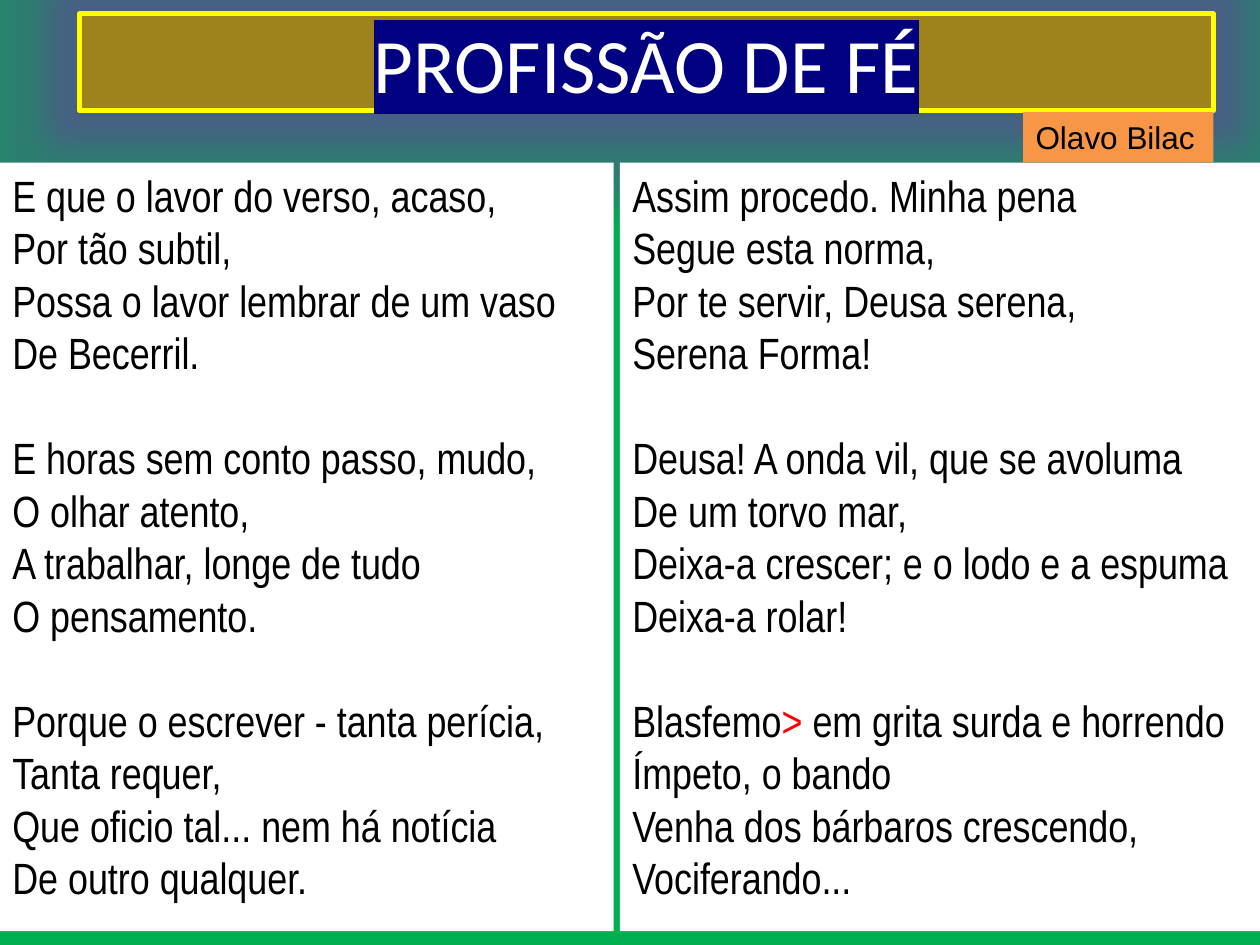
from lxml import etree
from pptx import Presentation
from pptx.dml.color import RGBColor
from pptx.enum.shapes import MSO_SHAPE as Shape
from pptx.enum.text import MSO_ANCHOR as Anchor, PP_ALIGN as Align
from pptx.oxml.ns import qn
from pptx.util import Inches, Pt

COLORS = {
    "green": "00B050", "gold": "B88C00", "yellow": "FFFF00", "navy": "000080",
    "white": "FFFFFF", "black": "000000", "red": "FF0000",
    "orange": "F79646", "purple": "6F35A0",
}
WIDTH, HEIGHT = 10, 7.5
MARK = ">"

LEFT_STANZAS = [
    ["E que o lavor do verso, acaso,", "Por tão subtil,",
     "Possa o lavor lembrar de um vaso", "De Becerril."],
    ["E horas sem conto passo, mudo,", "O olhar atento,",
     "A trabalhar, longe de tudo", "O pensamento."],
    ["Porque o escrever - tanta perícia,", "Tanta requer,",
     "Que oficio tal... nem há notícia", "De outro qualquer."],
]
RIGHT_STANZAS = [
    ["Assim procedo. Minha pena", "Segue esta norma,",
     "Por te servir, Deusa serena,", "Serena Forma!"],
    ["Deusa! A onda vil, que se avoluma", "De um torvo mar,",
     "Deixa-a crescer; e o lodo e a espuma", "Deixa-a rolar!"],
    ["Blasfemo> em grita surda e horrendo", "Ímpeto, o bando",
     "Venha dos bárbaros crescendo,", "Vociferando..."],
]


def rgb(name):
    return RGBColor.from_string(COLORS[name])


def add_color(parent, tag, color, alpha=None):
    """Append a DrawingML element that holds one colour."""
    element = etree.SubElement(parent, qn(tag))
    value = etree.SubElement(element, qn("a:srgbClr"), val=COLORS[color])
    if alpha is not None:
        etree.SubElement(value, qn("a:alpha"), val=str(alpha * 1000))
    return element


def write(paragraph, text, size=18, font="Arial", color="black", highlight=None):
    run = paragraph.add_run()
    run.text = text
    run.font.size = Pt(size)
    run.font.name = font
    run.font.color.rgb = rgb(color)
    if highlight:
        properties = run.font._element
        mark = add_color(properties, "a:highlight", highlight)
        properties.find(qn("a:solidFill")).addnext(mark)


class PoemSlide:
    """Current slide; positions and sizes are shares of the slide."""

    verse_size, verse_pitch, verse_font = 25, 30, "Arial Narrow"

    def __init__(self, presentation):
        self.slide = presentation.slides.add_slide(presentation.slide_layouts[6])
        self.slide.background.fill.solid()
        self.slide.background.fill.fore_color.rgb = rgb("green")

    def panel(self, left, top, width, height, color, anchor=Anchor.TOP):
        shape = self.slide.shapes.add_shape(
            Shape.RECTANGLE, Inches(left * WIDTH), Inches(top * HEIGHT),
            Inches(width * WIDTH), Inches(height * HEIGHT))
        shape.shadow.inherit = False
        shape.fill.solid()
        shape.fill.fore_color.rgb = rgb(color)
        shape.line.fill.background()
        shape.text_frame.word_wrap = True
        shape.text_frame.vertical_anchor = anchor
        shape.text_frame.paragraphs[0].alignment = Align.LEFT
        return shape

    def title(self, text, *box):
        shape = self.panel(*box, "gold", Anchor.MIDDLE)
        properties = shape._element.spPr
        # Translucent fill, rounded border and wide glow
        fill_color = properties.find(qn("a:solidFill"))[0]
        etree.SubElement(fill_color, qn("a:alpha"), val="78000")
        shape.line.color.rgb = rgb("yellow")
        shape.line.width = Pt(2.75)
        etree.SubElement(properties.find(qn("a:ln")), qn("a:round"))
        glow = add_color(properties.find(qn("a:effectLst")), "a:glow", "purple", 40)
        glow.set("rad", str(Inches(0.5)))
        paragraph = shape.text_frame.paragraphs[0]
        paragraph.alignment = Align.CENTER
        write(paragraph, text, size=44, font="Calibri", color="white", highlight="navy")

    def label(self, text, *box):
        shape = self.panel(*box, "orange")
        write(shape.text_frame.paragraphs[0], text)

    def stanzas(self, stanzas, *box):
        frame = self.panel(*box, "white").text_frame
        for stanza_index, stanza in enumerate(stanzas):
            for verse_index, verse in enumerate(stanza):
                first = stanza_index == verse_index == 0
                paragraph = frame.paragraphs[0] if first else frame.add_paragraph()
                paragraph.alignment = Align.LEFT
                paragraph.line_spacing = Pt(self.verse_pitch)
                if verse_index == 0 and not first:
                    paragraph.space_before = Pt(self.verse_pitch)
                self.verse(paragraph, verse)

    def verse(self, paragraph, text):
        before, mark, after = text.partition(MARK)
        for part, color in ((before, "black"), (mark, "red"), (after, "black")):
            if part:
                write(paragraph, part, size=self.verse_size,
                      font=self.verse_font, color=color)


def main():
    presentation = Presentation()
    presentation.slide_width, presentation.slide_height = Inches(WIDTH), Inches(HEIGHT)
    poem = PoemSlide(presentation)

    # Heading
    title_left, title_width = 0.063, 0.9
    poem.title("PROFISSÃO DE FÉ", title_left, 0.11 / HEIGHT, title_width, 0.77 / HEIGHT)

    # Two columns of verse
    body_top, body_height = 1.29 / HEIGHT, 6.1 / HEIGHT
    left_width, right_start = 0.487, 0.492
    poem.stanzas(LEFT_STANZAS, 0, body_top, left_width, body_height)
    poem.stanzas(RIGHT_STANZAS, right_start, body_top, 1 - right_start, body_height)

    # Author label, flush with the title's right edge and the columns' top
    label_width, label_height = 0.151, 0.4 / HEIGHT
    poem.label("Olavo Bilac", title_left + title_width - label_width,
               body_top - label_height, label_width, label_height)

    presentation.save("out.pptx")


if __name__ == "__main__":
    main()
